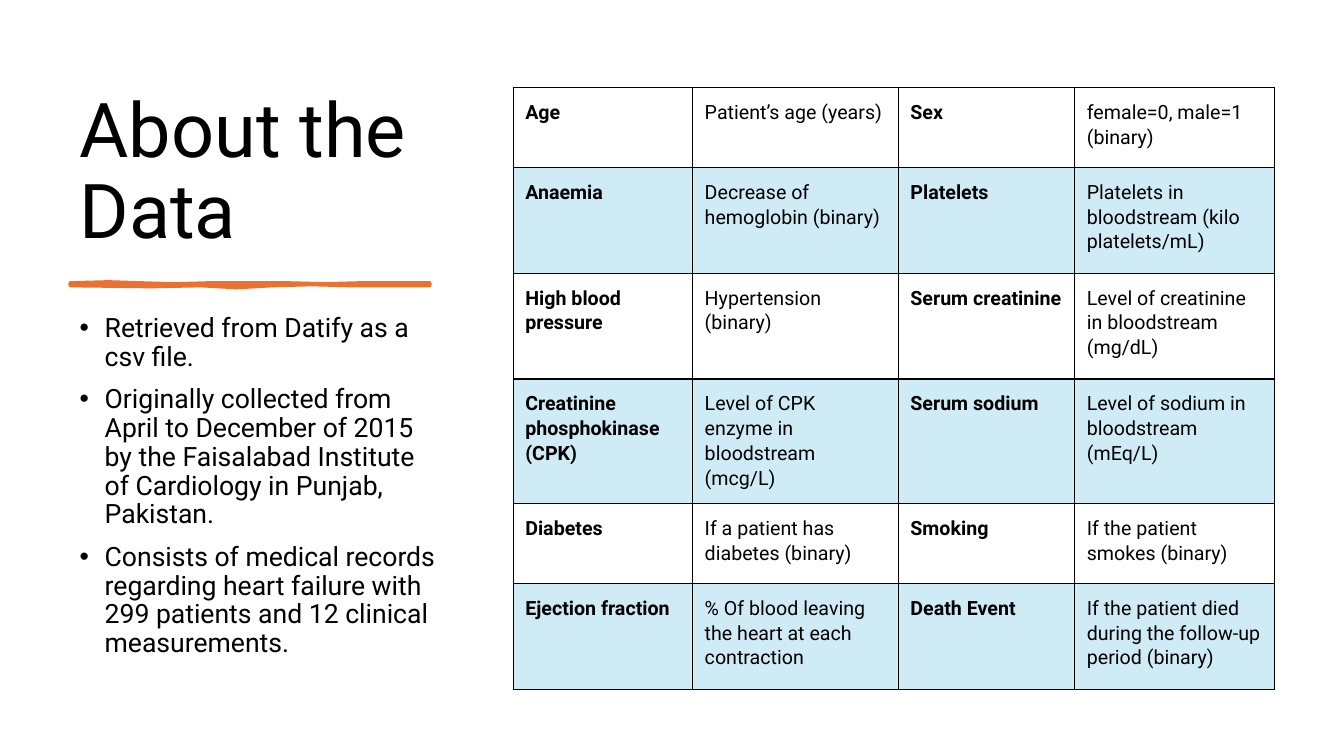
import pptx
import pptx.dml.color
import pptx.enum.text
import pptx.oxml
import pptx.oxml.ns
import pptx.util

COLOURS = {"text": "000000", "accent": "E97132", "band": "0F9ED5"}
BAND_OPACITY = 20  # percent
FACTS = [
    "Retrieved from Datify as a csv file.",
    "Originally collected from April to December of 2015 by the Faisalabad "
    "Institute of Cardiology in Punjab, Pakistan.",
    "Consists of medical records regarding heart failure with 299 patients "
    "and 12 clinical measurements.",
]
VARIABLES = [
    ["Age", "Patient’s age (years)", "Sex", "female=0, male=1 (binary)"],
    ["Anaemia", "Decrease of hemoglobin (binary)",
     "Platelets", "Platelets in bloodstream (kilo platelets/mL)"],
    ["High blood pressure", "Hypertension (binary)",
     "Serum creatinine", "Level of creatinine in bloodstream (mg/dL)"],
    ["Creatinine phosphokinase (CPK)", "Level of CPK enzyme in bloodstream (mcg/L)",
     "Serum sodium", "Level of sodium in bloodstream (mEq/L)"],
    ["Diabetes", "If a patient has diabetes (binary)",
     "Smoking", "If the patient smokes (binary)"],
    ["Ejection fraction", "% Of blood leaving the heart at each contraction",
     "Death Event", "If the patient died during the follow-up period (binary)"],
]
COLUMN_WIDTHS = [178, 204, 175, 198]
ROW_HEIGHTS = [79, 105, 105, 105, 79, 105]
BRUSH_STROKE = [
    (70, 281), (108, 280), (138, 281), (173, 282), (209, 281), (250, 281),
    (284, 281), (322, 282), (359, 281), (395, 281), (426, 281),
    (426, 283), (387, 283), (348, 283), (309, 282), (270, 283), (235, 285),
    (199, 283), (150, 284), (70, 283),
]


def px(length):
    """Turn px, 100 to the inch, into EMU."""
    return pptx.util.Emu(length * 9144)


def colour(name):
    return pptx.dml.color.RGBColor.from_string(COLOURS[name])


def element(markup):
    """Parse one drawing element whose tag opens the markup."""
    tag, rest = markup[:markup.index(" ")], markup[markup.index(" "):]
    return pptx.oxml.parse_xml(f"{tag} {pptx.oxml.ns.nsdecls('a')}{rest}")


class Painter:
    """Holds the type style and the page being filled."""

    def __init__(self, page, font="Roboto"):
        self.page = page
        self.font = font

    def style(self, para, size, spacing, bold=False):
        para.line_spacing = spacing
        for span in para.runs:
            span.font.name = self.font
            span.font.size = pptx.util.Pt(size)
            span.font.bold = bold
            span.font.color.rgb = colour("text")

    def text(self, left, top, width, height, lines, size, bulleted=False,
             anchor=pptx.enum.text.MSO_ANCHOR.TOP):
        box = self.page.shapes.add_textbox(px(left), px(top), px(width), px(height))
        frame = box.text_frame
        frame.word_wrap = True
        frame.vertical_anchor = anchor
        frame.text = "\n".join(lines)
        for index, para in enumerate(frame.paragraphs):
            if bulleted:
                self.bullet(para)
            if index:
                para.space_before = pptx.util.Pt(10)
            self.style(para, size, 0.9)

    def bullet(self, para):
        properties = para._p.get_or_add_pPr()
        properties.set("marL", str(px(25)))
        properties.set("indent", str(-px(25)))
        properties.append(element('<a:buFont typeface="Arial"/>'))
        properties.append(element('<a:buChar char="•"/>'))

    def stroke(self, points, name, weight):
        builder = self.page.shapes.build_freeform(*points[0], scale=px(1))
        builder.add_line_segments(points[1:], close=True)
        shape = builder.convert_to_shape()
        shape.shadow.inherit = False
        shape.fill.solid()
        shape.fill.fore_color.rgb = colour(name)
        shape.line.color.rgb = colour(name)
        shape.line.width = pptx.util.Pt(weight)
        shape.line._get_or_add_ln().append(element("<a:round />"))

    def table(self, left, top, widths, heights, rows):
        frame = self.page.shapes.add_table(
            len(rows), len(widths), px(left), px(top), px(sum(widths)), px(sum(heights)))
        table = frame.table
        table.first_row = False
        table.horz_banding = False
        for column, width in zip(table.columns, widths):
            column.width = px(width)
        for row, height in zip(table.rows, heights):
            row.height = px(height)
        for row_index, row in enumerate(rows):
            for column_index, words in enumerate(row):
                self.cell(table.cell(row_index, column_index), words,
                          bold=column_index % 2 == 0, banded=row_index % 2 == 1)

    def cell(self, cell, words, bold, banded):
        cell.margin_left = cell.margin_right = px(12)
        cell.margin_top = cell.margin_bottom = px(12)
        cell.text = words
        self.style(cell.text_frame.paragraphs[0], 14, 1.07, bold)
        properties = cell._tc.get_or_add_tcPr()
        for side in ("lnL", "lnR", "lnT", "lnB"):
            properties.append(element(
                f'<a:{side} w="{pptx.util.Pt(1)}"><a:solidFill>'
                f'<a:srgbClr val="{COLOURS["text"]}"/></a:solidFill></a:{side}>'))
        if banded:
            cell.fill.solid()
            cell.fill.fore_color.rgb = colour("band")
            tint = properties.find(pptx.oxml.ns.qn("a:solidFill"))[0]
            tint.append(element(f'<a:alpha val="{BAND_OPACITY * 1000}"/>'))
        else:
            cell.fill.background()


def main():
    deck = pptx.Presentation()
    deck.slide_width, deck.slide_height = px(1333), px(750)
    painter = Painter(deck.slides.add_slide(deck.slide_layouts[6]))

    # Title and its brushed underline
    painter.text(69, 70, 375, 188, ["About the Data"], 54,
                 anchor=pptx.enum.text.MSO_ANCHOR.BOTTOM)
    painter.stroke(BRUSH_STROKE, "accent", 3)

    # Facts about the data set
    painter.text(69, 307, 375, 373, FACTS, 19, bulleted=True)

    # Variables and their meanings
    painter.table(509, 87, COLUMN_WIDTHS, ROW_HEIGHTS, VARIABLES)

    deck.save("out.pptx")


if __name__ == "__main__":
    main()
